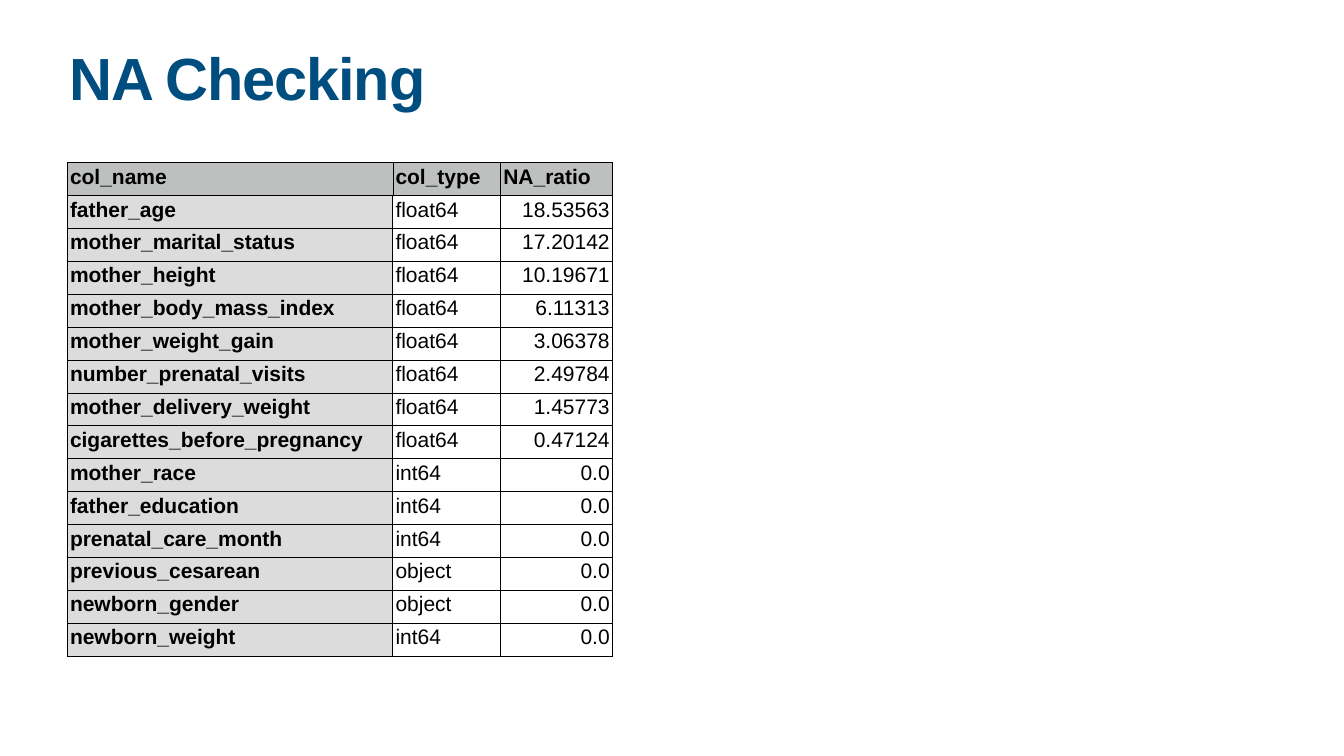
from lxml import etree
from pptx import Presentation
from pptx.dml.color import RGBColor
from pptx.enum import text
from pptx.oxml import ns
from pptx.util import Pt

HUES = {"title": "004D80", "ink": "000000", "head": "BEC0BF", "side": "DCDCDC"}
HEAD = ["col_name", "col_type", "NA_ratio"]
DATA = [
    ("father_age", "float64", "18.53563"),
    ("mother_marital_status", "float64", "17.20142"),
    ("mother_height", "float64", "10.19671"),
    ("mother_body_mass_index", "float64", "6.11313"),
    ("mother_weight_gain", "float64", "3.06378"),
    ("number_prenatal_visits", "float64", "2.49784"),
    ("mother_delivery_weight", "float64", "1.45773"),
    ("cigarettes_before_pregnancy", "float64", "0.47124"),
    ("mother_race", "int64", "0.0"),
    ("father_education", "int64", "0.0"),
    ("prenatal_care_month", "int64", "0.0"),
    ("previous_cesarean", "object", "0.0"),
    ("newborn_gender", "object", "0.0"),
    ("newborn_weight", "int64", "0.0"),
]


class Deck:
    font, pad, thin, thick = "Arial", Pt(4), Pt(0.35), Pt(0.75)

    def __init__(self, slide):
        self.slide = slide

    def style(self, para, size, hue, bold):
        font = para.font
        font.name, font.size, font.bold = self.font, Pt(size), bold
        font.color.rgb = RGBColor.from_string(HUES[hue])

    def inset(self, box):
        box.margin_left = box.margin_right = self.pad
        box.margin_top = box.margin_bottom = self.pad

    def title(self, words, left, top, width, height):
        shape = self.slide.shapes.title
        shape.left, shape.top = Pt(left), Pt(top)
        shape.width, shape.height = Pt(width), Pt(height)
        frame = shape.text_frame
        frame.text = words
        frame.word_wrap = True
        frame.auto_size = text.MSO_AUTO_SIZE.NONE
        frame.vertical_anchor = text.MSO_ANCHOR.TOP
        self.inset(frame)
        para = frame.paragraphs[0]
        para.alignment = text.PP_ALIGN.LEFT
        para.line_spacing = 0.8
        self.style(para, 85, "title", True)
        para.runs[0].font.size = Pt(85)
        para.runs[0]._r.get_or_add_rPr().set("spc", "-170")

    def edge(self, cell, side, width):
        props = cell._tc.get_or_add_tcPr()
        line = etree.SubElement(props, ns.qn("a:ln" + side), w=str(width))
        fill = etree.SubElement(line, ns.qn("a:solidFill"))
        etree.SubElement(fill, ns.qn("a:srgbClr"), val=HUES["ink"])

    def cell(self, cell, words, row, col):
        # Heavier rules divide the headers from the values
        heavy = {"L": row > 0 and col == 1, "R": row > 0 and col == 0,
                 "T": row == 1, "B": row == 0}
        for side, bold in heavy.items():
            self.edge(cell, side, self.thick if bold else self.thin)
        if row and col:
            cell.fill.background()
        else:
            cell.fill.solid()
            hue = HUES["side" if row else "head"]
            cell.fill.fore_color.rgb = RGBColor.from_string(hue)
        cell.text = words
        cell.vertical_anchor = text.MSO_ANCHOR.TOP
        self.inset(cell)
        para = cell.text_frame.paragraphs[0]
        right = row > 0 and col == 2
        para.alignment = text.PP_ALIGN.RIGHT if right else text.PP_ALIGN.LEFT
        self.style(para, 30, "ink", row == 0 or col == 0)

    def table(self, rows, left, top, widths, height):
        frame = self.slide.shapes.add_table(
            len(rows), len(widths), Pt(left), Pt(top),
            Pt(sum(widths)), Pt(height * len(rows)))
        grid = frame.table
        grid.first_row = grid.horz_banding = False
        for col, width in zip(grid.columns, widths):
            col.width = Pt(width)
        for r, row in enumerate(rows):
            grid.rows[r].height = Pt(height)
            for c, words in enumerate(row):
                self.cell(grid.cell(r, c), words, r, c)


def main():
    show = Presentation()
    show.slide_width, show.slide_height = Pt(1920), Pt(1080)
    deck = Deck(show.slides.add_slide(show.slide_layouts[5]))

    # Heading
    deck.title("NA Checking", 95, 75, 1730, 113)

    # Share of missing values by column
    deck.table([HEAD, *DATA], 96, 232, [465, 154, 160], 47)

    show.save("out.pptx")


if __name__ == "__main__":
    main()
